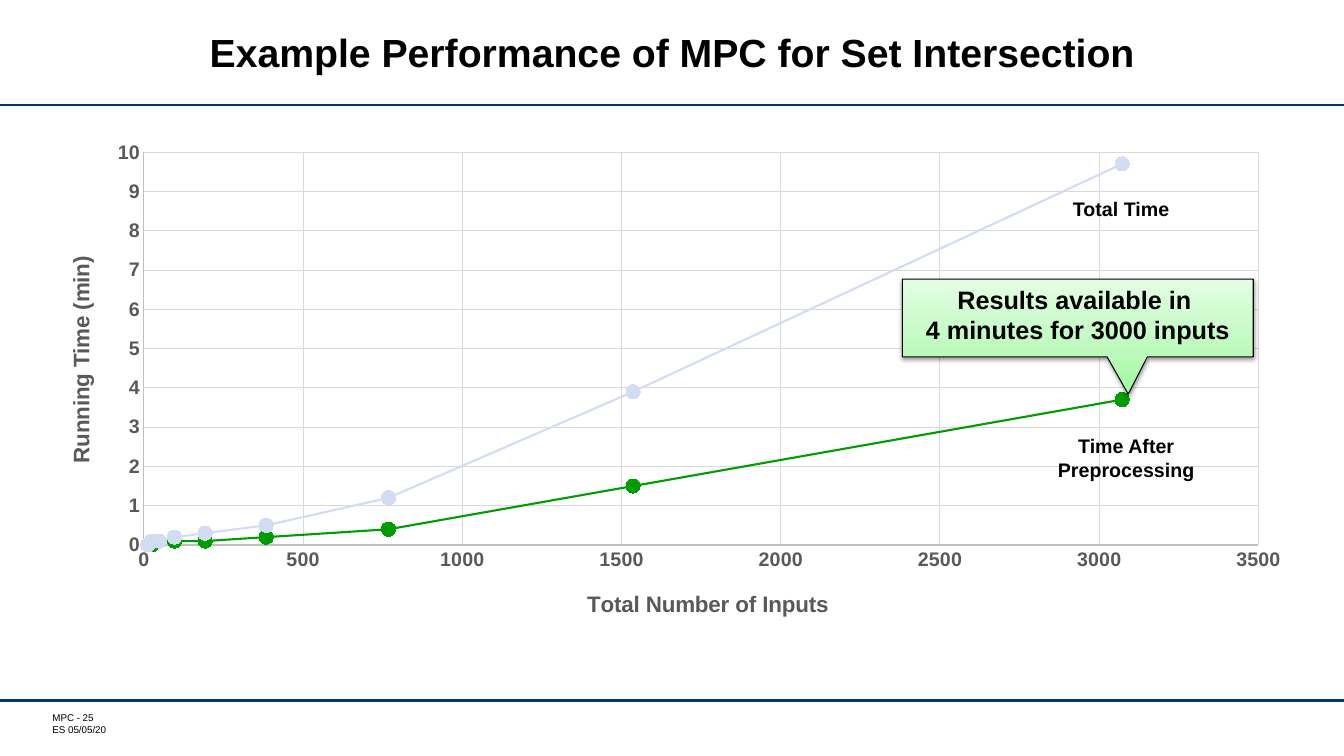
from dataclasses import dataclass

from lxml import etree
from pptx import Presentation
from pptx import util as u
from pptx.chart import data as chart_data
from pptx.dml import color
from pptx.enum import chart as ch
from pptx.enum import shapes, text
from pptx.oxml import ns, parse_xml

FONT = "Arial"
NAVY, BLACK, GRAY = "003767", "000000", "595959"
AXIS_LINE, GRID = "BFBFBF", "D9D9D9"


@dataclass
class Label:
    content: str
    box: tuple[float, float, float, float]
    size: float
    bold: bool = True
    align: text.PP_ALIGN = text.PP_ALIGN.CENTER
    anchor: text.MSO_ANCHOR = text.MSO_ANCHOR.TOP
    insets: tuple[float, float, float, float] = (0.1, 0.05, 0.1, 0.05)
    spacing: float | None = None


@dataclass
class Curve:
    name: str
    minutes: list[float]
    fill: str


@dataclass
class AxisStyle:
    title: str
    title_at: tuple[float, float]
    maximum: float
    step: float


LABELS = [
    Label("MPC - 25\nES 05/05/20", (0.47, 7.06, 1.59, 0.24), 7, bold=False,
          align=text.PP_ALIGN.LEFT, insets=(0.05, 0, 0, 0)),
    Label("Example Performance of MPC for Set Intersection", (1.37, 0.11, 10.59, 0.89), 28,
          anchor=text.MSO_ANCHOR.MIDDLE, spacing=28),
    Label("Total Time", (10.2, 1.9, 1.84, 0.34), 14),
    Label("Time After Preprocessing", (10.25, 4.26, 1.84, 0.57), 14),
]
RULE_HEIGHTS = [1.04, 6.95]
INPUTS = [12 * 2 ** doubling for doubling in range(9)]
CURVES = [
    Curve("Total Time", [0, 0.1, 0.1, 0.2, 0.3, 0.5, 1.2, 3.9, 9.7], "D2DCF2"),
    Curve("Time After Preprocessing", [0, 0, 0.1, 0.1, 0.1, 0.2, 0.4, 1.5, 3.7], "009D00"),
]
INPUT_AXIS = AxisStyle("Total Number of Inputs", (0.43, 0.9), 3500, 500)
TIME_AXIS = AxisStyle("Running Time (min)", (0.02, 0.24), 10, 1)


def rgb(value: str) -> color.RGBColor:
    return color.RGBColor.from_string(value)


def set_font(font, size: float, bold: bool = True, fill: str = BLACK) -> None:
    formats = {"name": FONT, "size": u.Pt(size), "bold": bold}
    for attribute, value in formats.items():
        setattr(font, attribute, value)
    font.color.rgb = rgb(fill)


def set_line(line, fill: str, width: float) -> None:
    line.color.rgb = rgb(fill)
    line.width = u.Pt(width)


def write_text(shape, label: Label) -> None:
    frame = shape.text_frame
    left, top, right, bottom = map(u.Inches, label.insets)
    formats = {"word_wrap": True, "vertical_anchor": label.anchor, "margin_left": left,
               "margin_top": top, "margin_right": right, "margin_bottom": bottom,
               "text": label.content}
    for attribute, value in formats.items():
        setattr(frame, attribute, value)
    for paragraph in frame.paragraphs:
        paragraph.alignment = label.align
        if label.spacing:
            paragraph.line_spacing = u.Pt(label.spacing)
        for run in paragraph.runs:
            set_font(run.font, label.size, label.bold)


def add_label(slide, label: Label) -> None:
    write_text(slide.shapes.add_textbox(*map(u.Inches, label.box)), label)


def add_rule(slide, height: float) -> None:
    rule = slide.shapes.add_connector(shapes.MSO_CONNECTOR.STRAIGHT, 0, u.Inches(height),
                                      u.Inches(13.33), u.Inches(height))
    set_line(rule.line, NAVY, 1.75)
    etree.SubElement(rule._element.spPr, ns.qn("a:effectLst"))


def manual_layout(target: str = "", **fractions: float):
    layout = parse_xml(f"<c:layout {ns.nsdecls('c')}><c:manualLayout/></c:layout>")
    values = {"layoutTarget": target} if target else {}
    values |= {"xMode": "edge", "yMode": "edge"} | fractions
    for tag, value in values.items():
        etree.SubElement(layout[0], ns.qn(f"c:{tag}")).set("val", str(value))
    return layout


def style_axis(axis, style: AxisStyle) -> None:
    formats = {"minimum_scale": 0, "maximum_scale": style.maximum, "major_unit": style.step,
               "has_major_gridlines": True, "major_tick_mark": ch.XL_TICK_MARK.NONE,
               "minor_tick_mark": ch.XL_TICK_MARK.NONE}
    for attribute, value in formats.items():
        setattr(axis, attribute, value)
    axis.tick_labels.number_format = "General"
    axis.tick_labels.number_format_is_linked = False
    set_font(axis.tick_labels.font, 14, fill=GRAY)
    set_line(axis.format.line, AXIS_LINE, 0.75)
    set_line(axis.major_gridlines.format.line, GRID, 0.75)
    title = axis.axis_title
    title.text_frame.text = style.title
    set_font(title.text_frame.paragraphs[0].runs[0].font, 16, fill=GRAY)
    for old in title._element.findall(ns.qn("c:layout")):
        title._element.remove(old)
    left, top = style.title_at
    title._element.find(ns.qn("c:tx")).addnext(manual_layout(x=left, y=top))


def add_running_time_chart(slide) -> None:
    points = chart_data.XyChartData()
    for curve in CURVES:
        series = points.add_series(curve.name)
        for inputs, minutes in zip(INPUTS, curve.minutes):
            series.add_data_point(inputs, minutes)
    box = map(u.Inches, (0.37, 1.3, 12.59, 5.01))
    chart = slide.shapes.add_chart(ch.XL_CHART_TYPE.XY_SCATTER_SMOOTH, *box, points).chart
    chart.has_legend = chart.has_title = False
    set_font(chart.font, 10, bold=False)
    plot = chart.plots[0]
    plot.vary_by_categories = False
    for series, curve in zip(plot.series, CURVES):
        series.smooth = True
        set_line(series.format.line, curve.fill, 1.5)
        series.marker.style = ch.XL_MARKER_STYLE.CIRCLE
        series.marker.size = 10
        series.marker.format.fill.solid()
        series.marker.format.fill.fore_color.rgb = rgb(curve.fill)
        set_line(series.marker.format.line, curve.fill, 0.75)
    style_axis(chart.category_axis, INPUT_AXIS)
    style_axis(chart.value_axis, TIME_AXIS)
    # Fixed plot area
    plot_area = chart._chartSpace.chart.plotArea
    for old in plot_area.findall(ns.qn("c:layout")):
        plot_area.remove(old)
    plot_area.insert(0, manual_layout("inner", x=0.084, y=0.042, w=0.878, h=0.778))


def add_callout(slide) -> None:
    left, top, right, bottom = 895, 277, 1243, 354
    outline = [(right, top), (right, bottom), (1138, bottom), (1119, 391),
               (1098, bottom), (left, bottom)]
    builder = slide.shapes.build_freeform(left, top, scale=u.Inches(0.01))
    builder.add_line_segments(outline, close=True)
    callout = builder.convert_to_shape()
    set_line(callout.line, BLACK, 0.75)
    # Three-stop gradient and soft shadow
    stops = "".join(f'<a:gs pos="{place * 1000}"><a:srgbClr val="{fill}"/></a:gs>'
                    for place, fill in [(0, "9EFA9E"), (35, "BCFABC"), (100, "E4FEE4")])
    gradient = parse_xml(f'<a:gradFill {ns.nsdecls("a")}><a:gsLst>{stops}</a:gsLst>'
                         '<a:lin ang="16200000" scaled="0"/></a:gradFill>')
    shadow = parse_xml(
        f'<a:effectLst {ns.nsdecls("a")}><a:outerShdw blurRad="{u.Pt(3.1)}" dist="{u.Pt(1.6)}" '
        f'dir="5400000" rotWithShape="0"><a:srgbClr val="{BLACK}"><a:alpha val="38000"/>'
        '</a:srgbClr></a:outerShdw></a:effectLst>')
    properties = callout._element.spPr
    line = properties.find(ns.qn("a:ln"))
    line.addprevious(gradient)
    line.addnext(shadow)
    write_text(callout, Label("Results available in \v4 minutes for 3000 inputs",
                              (8.95, 2.77, 3.48, 1.14), 18))


def main() -> None:
    presentation = Presentation()
    presentation.slide_width = u.Inches(13.33)
    presentation.slide_height = u.Inches(7.5)
    slide = presentation.slides.add_slide(presentation.slide_layouts[6])
    # Frame, chart, then the text over it
    for height in RULE_HEIGHTS:
        add_rule(slide, height)
    add_running_time_chart(slide)
    for label in LABELS:
        add_label(slide, label)
    add_callout(slide)
    presentation.save("out.pptx")


if __name__ == "__main__":
    main()
